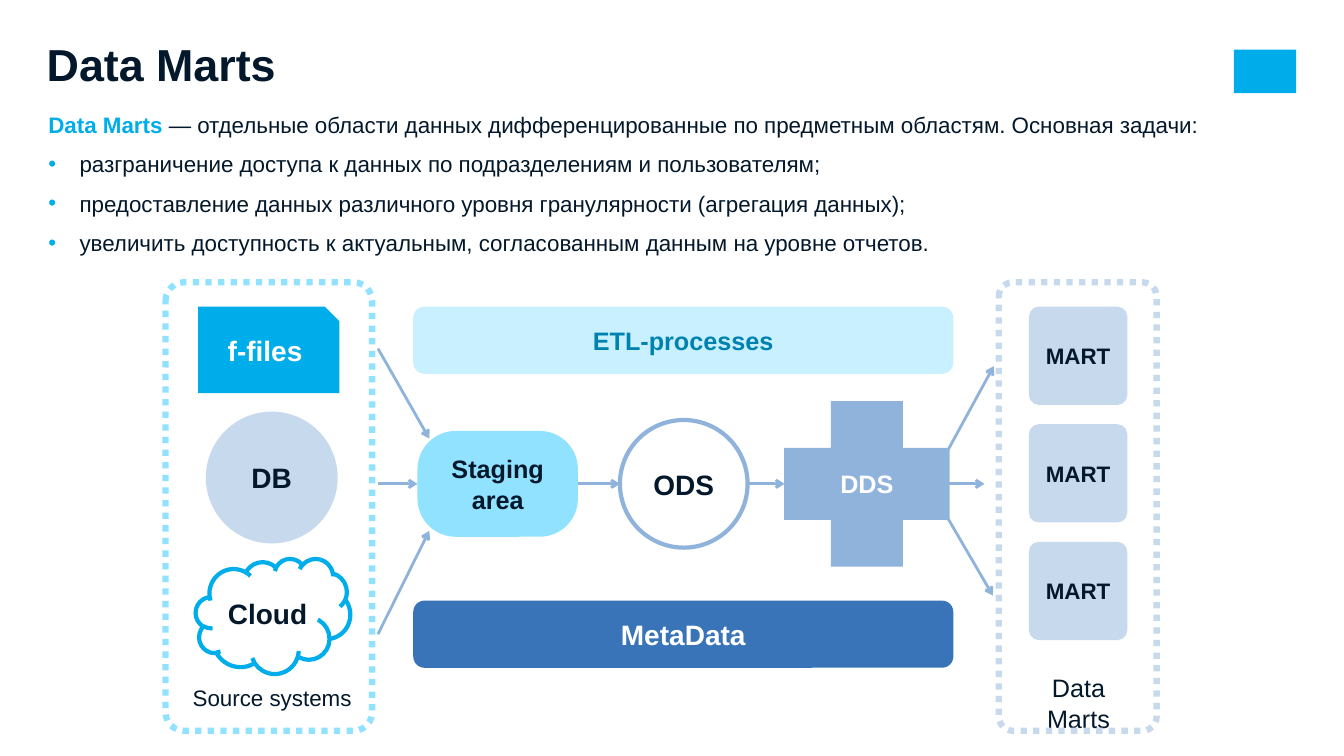
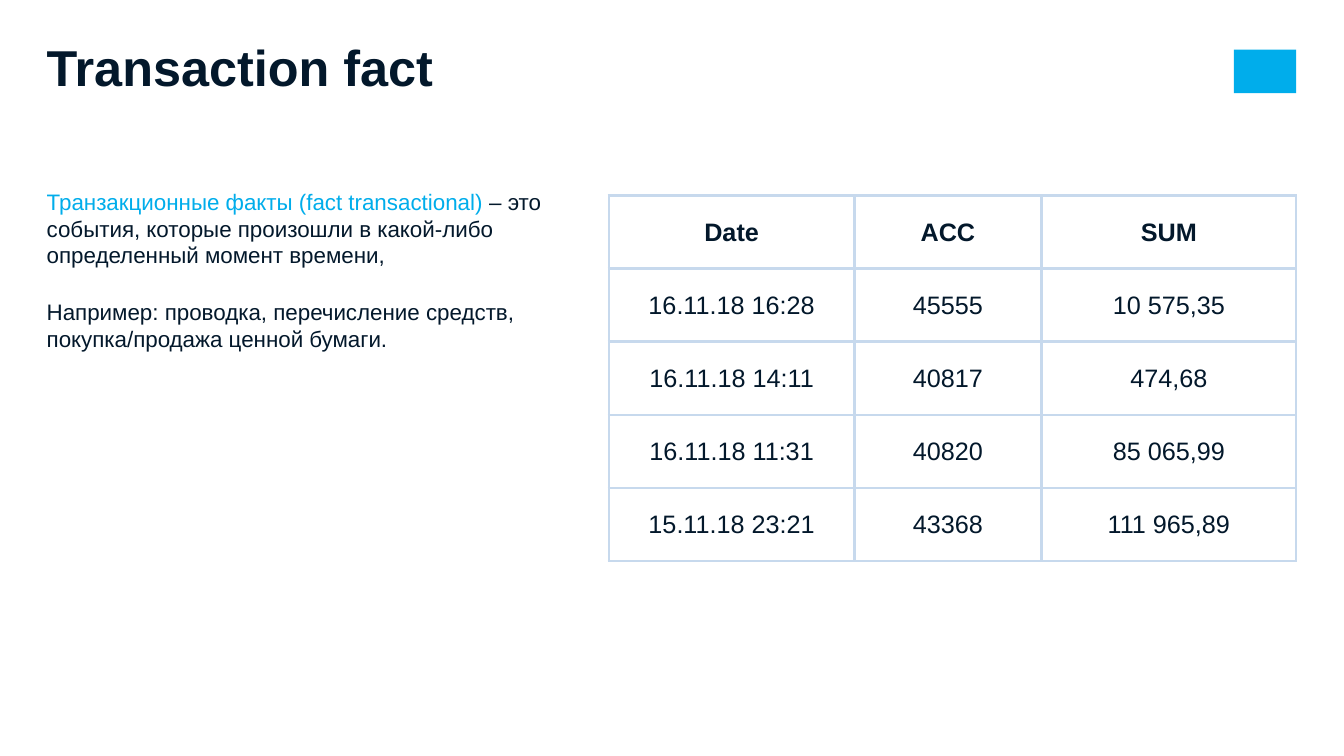
from lxml import etree
from pptx import Presentation
from pptx.dml.color import RGBColor
from pptx.enum.dml import MSO_LINE
from pptx.enum.shapes import MSO_CONNECTOR, MSO_SHAPE
from pptx.enum.text import MSO_ANCHOR, PP_ALIGN
from pptx.oxml.ns import qn
from pptx.util import Inches, Pt

RECTANGLE, ROUNDED = MSO_SHAPE.RECTANGLE, MSO_SHAPE.ROUNDED_RECTANGLE
SNIPPED, CLOUD = MSO_SHAPE.SNIP_ROUND_RECTANGLE, MSO_SHAPE.CLOUD
OVAL, PLUS = MSO_SHAPE.OVAL, MSO_SHAPE.MATH_PLUS
STRAIGHT, DOTTED = MSO_CONNECTOR.STRAIGHT, MSO_LINE.ROUND_DOT
LEFT, CENTER = PP_ALIGN.LEFT, PP_ALIGN.CENTER
TOP, MIDDLE = MSO_ANCHOR.TOP, MSO_ANCHOR.MIDDLE

FONT = "Arial"
COLORS = {
    "ink": "03182B", "white": "FFFFFF", "accent": "00ADEB", "sky": "91E2FF",
    "ice": "C8F0FF", "teal": "0082B0", "mist": "C7D9ED", "steel": "90B3DC",
    "blue": "3A74B8",
}
# The slide is a grid of 160 columns and 90 rows of square cells
COLUMNS, ROWS = 160, 90
CELL = Inches(7.5) / ROWS
SIDE_LEFT, SIDE_RIGHT = 1, 3


def cells(*counts):
    return [round(count * CELL) for count in counts]


def rgb(name):
    return RGBColor.from_string(COLORS[name])


def add_color(parent, name):
    etree.SubElement(parent, qn("a:srgbClr"), val=COLORS[name])


def add_bullet(paragraph, indent=Inches(0.31)):
    properties = paragraph._p.get_or_add_pPr()
    properties.set("marL", str(indent))
    properties.set("indent", str(-indent))
    add_color(etree.SubElement(properties, qn("a:buClr")), "accent")
    etree.SubElement(properties, qn("a:buFont"), typeface=FONT)
    etree.SubElement(properties, qn("a:buChar"), char="•")


def write(frame, paragraphs, size=16, color="ink", bold=False, align=LEFT, anchor=TOP,
          inset=None, spacing=None, before=0, after=0, bullets_from=None):
    """Fill a frame; a paragraph is a string or a list of (text, format) runs."""
    frame.word_wrap = True
    frame.vertical_anchor = anchor
    if inset is not None:
        frame.margin_left = frame.margin_right = Inches(inset)
        frame.margin_top = frame.margin_bottom = Inches(inset)
    for index, runs in enumerate(paragraphs):
        paragraph = frame.add_paragraph() if index else frame.paragraphs[0]
        paragraph.alignment = align
        paragraph.line_spacing = spacing
        paragraph.space_before = Pt(before if index else 0)
        paragraph.space_after = Pt(after)
        if bullets_from is not None and index >= bullets_from:
            add_bullet(paragraph)
        for text, style in [(runs, {})] if isinstance(runs, str) else runs:
            run = paragraph.add_run()
            run.text = text
            run.font.name, run.font.size = FONT, Pt(size)
            run.font.bold = style.get("bold", bold)
            run.font.color.rgb = rgb(style.get("color", color))


class Deck:
    def __init__(self):
        self.presentation = Presentation()
        self.presentation.slide_width, self.presentation.slide_height = cells(COLUMNS, ROWS)
        self.slide = None

    def new_slide(self, title, size):
        self.slide = self.presentation.slides.add_slide(self.presentation.slide_layouts[6])
        self.shape(RECTANGLE, 146.9, 5.9, 7.4, 5.2, fill="accent")  # corner mark
        self.text([title], 4, 2.8, 109.2, 12.2, size=size, bold=True, inset=0.13)

    def text(self, paragraphs, *box, **style):
        write(self.slide.shapes.add_textbox(*cells(*box)).text_frame, paragraphs, **style)

    def shape(self, kind, *box, fill=None, line=None, width=3, dash=None, adjust=(),
              label=None, size=20, color="ink"):
        shape = self.slide.shapes.add_shape(kind, *cells(*box))
        shape.shadow.inherit = False
        for index, value in enumerate(adjust):
            shape.adjustments[index] = value
        if fill:
            shape.fill.solid()
            shape.fill.fore_color.rgb = rgb(fill)
        else:
            shape.fill.background()
        if line:
            shape.line.color.rgb = rgb(line)
            shape.line.width = Pt(width)
            shape.line.dash_style = dash
        else:
            shape.line.fill.background()
        if label:
            write(shape.text_frame, label.split("\n"), size=size, color=color, bold=True,
                  align=CENTER, anchor=MIDDLE)
        return shape

    def arrow(self, start, end, begin_at=None, end_at=None):
        connector = self.slide.shapes.add_connector(STRAIGHT, *cells(*start, *end))
        if begin_at:
            connector.begin_connect(*begin_at)
        if end_at:
            connector.end_connect(*end_at)
        connector.line.color.rgb = rgb("steel")
        connector.line.width = Pt(2)
        properties = connector.element.spPr
        etree.SubElement(properties.find(qn("a:ln")), qn("a:tailEnd"), type="arrow")
        etree.SubElement(properties, qn("a:effectLst"))

    def table(self, rows, left, top, widths, row_height):
        table = self.slide.shapes.add_table(
            len(rows), len(widths),
            *cells(left, top, sum(widths), row_height * len(rows))).table
        table.first_row = table.horz_banding = False
        for column, width in zip(table.columns, cells(*widths)):
            column.width = width
        for row_index, row in enumerate(rows):
            table.rows[row_index].height = cells(row_height)[0]
            for column_index, text in enumerate(row):
                cell = table.cell(row_index, column_index)
                write(cell.text_frame, [text], size=18, bold=row_index == 0, align=CENTER)
                cell.vertical_anchor = MIDDLE
                cell.margin_left = cell.margin_right = Inches(0.12)
                cell.margin_top = cell.margin_bottom = Inches(0.06)
                self.border(cell)
                cell.fill.background()

    def border(self, cell):
        properties = cell._tc.get_or_add_tcPr()
        for side in ("lnL", "lnR", "lnT", "lnB"):
            line = etree.SubElement(properties, qn(f"a:{side}"), w=str(Pt(2.25)))
            add_color(etree.SubElement(line, qn("a:solidFill")), "mist")


def data_marts(deck):
    deck.new_slide("Data Marts", 32)
    deck.text([
        [("Data Marts ", {"color": "accent", "bold": True}),
         ("— отдельные области данных дифференцированные по предметным областям. "
          "Основная задачи:", {})],
        "разграничение доступа к данных по подразделениям и пользователям;",
        "предоставление данных различного уровня гранулярности (агрегация данных);",
        "увеличить доступность к актуальным, согласованным данным на уровне отчетов.",
    ], 4.2, 11.2, 149, 22.4, inset=0.13, spacing=1.15, after=6, bullets_from=1)

    first_row, flow_row = 36.5, 57.6

    # Source systems
    deck.shape(CLOUD, 23.3, 66.5, 18.4, 13.7, fill="white", line="accent", label="Cloud")
    deck.shape(SNIPPED, 23.6, first_row, 16.8, 10.3, fill="accent", adjust=(0, 0.17),
               label="f-files", color="white")
    deck.shape(OVAL, 24.5, 49, 15.7, 15.7, fill="mist", label="DB")
    deck.text(["Sourсe systems"], 20.4, 80.9, 24, 4.4, align=CENTER)

    # Data marts
    for index in range(3):
        deck.shape(ROUNDED, 122.5, first_row + 14 * index, 11.7, 11.7, fill="mist",
                   adjust=(0.1,), label="MART", size=16)
    deck.text(["Data Marts"], 121.4, 79.5, 14, 8, size=18, align=CENTER)

    # Dotted frames
    for left, width, color in ((19.7, 24.6, "sky"), (118.9, 18.8, "mist")):
        deck.shape(ROUNDED, left, 33.6, width, 53.4, line=color, width=4.5, dash=DOTTED,
                   adjust=(0.09,))

    # Processes above and below the flow
    for top, fill, label, size, color in (
            (first_row, "ice", "ETL-processes", 18, "teal"),
            (71.5, "blue", "MetaData", 20, "white")):
        deck.shape(ROUNDED, 49.2, top, 64.3, 8, fill=fill, label=label, size=size, color=color)

    # Data flow
    staging = deck.shape(ROUNDED, 49.7, flow_row - 6.3, 19.1, 12.6, fill="sky",
                         adjust=(0.36,), label="Staging\narea", size=18)
    deck.shape(OVAL, 73.8, flow_row - 7.6, 15.2, 15.2, fill="white", line="steel", label="ODS")
    deck.shape(PLUS, 89.8, flow_row - 13.4, 26.8, 26.8, fill="steel", adjust=(0.32,),
               label="DDS", size=18, color="white")

    # Arrows
    deck.arrow((45, 41.5), (51.1, 52.2))
    deck.arrow((45, flow_row), (49.7, flow_row), end_at=(staging, SIDE_LEFT))
    deck.arrow((45, 75.5), (51.1, 63.2))
    deck.arrow((68.8, flow_row), (73.8, flow_row), begin_at=(staging, SIDE_RIGHT))
    deck.arrow((89.1, flow_row), (93.4, flow_row))
    for start_row, end in ((53.5, (118.3, 43.6)), (flow_row, (117.2, flow_row)),
                           (61.8, (118.2, 70.9))):
        deck.arrow((112.9, start_row), end)


def transaction_fact(deck):
    deck.new_slide("Transaction fact", 36)
    deck.text([
        [("Транзакционные факты (fact transactional) ", {"color": "accent"}),
         ("– это события, которые произошли в какой-либо определенный момент времени,", {})],
        "Например: проводка, перечисление средств, покупка/продажа ценной бумаги.",
    ], 4, 20.8, 69.7, 24.2, inset=0.13, before=9, after=12)
    deck.table([
        ("Date", "ACC", "SUM"),
        ("16.11.18 16:28", "45555", "10 575,35"),
        ("16.11.18 14:11", "40817", "474,68"),
        ("16.11.18 11:31", "40820", "85 065,99"),
        ("15.11.18 23:21", "43368", "111 965,89"),
    ], 72.5, 23.3, (29.2, 22.3, 30.3), 8.7)


def main():
    deck = Deck()
    data_marts(deck)
    transaction_fact(deck)
    deck.presentation.save("out.pptx")


if __name__ == "__main__":
    main()
